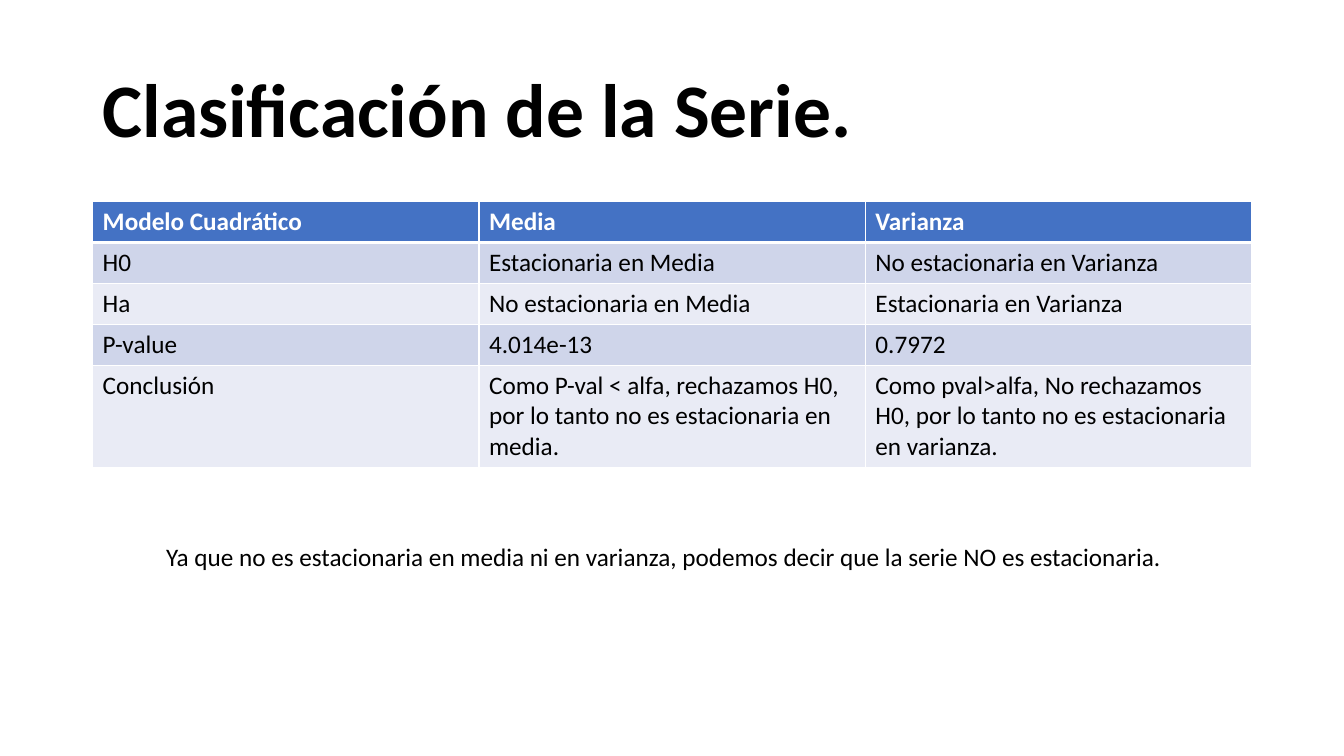
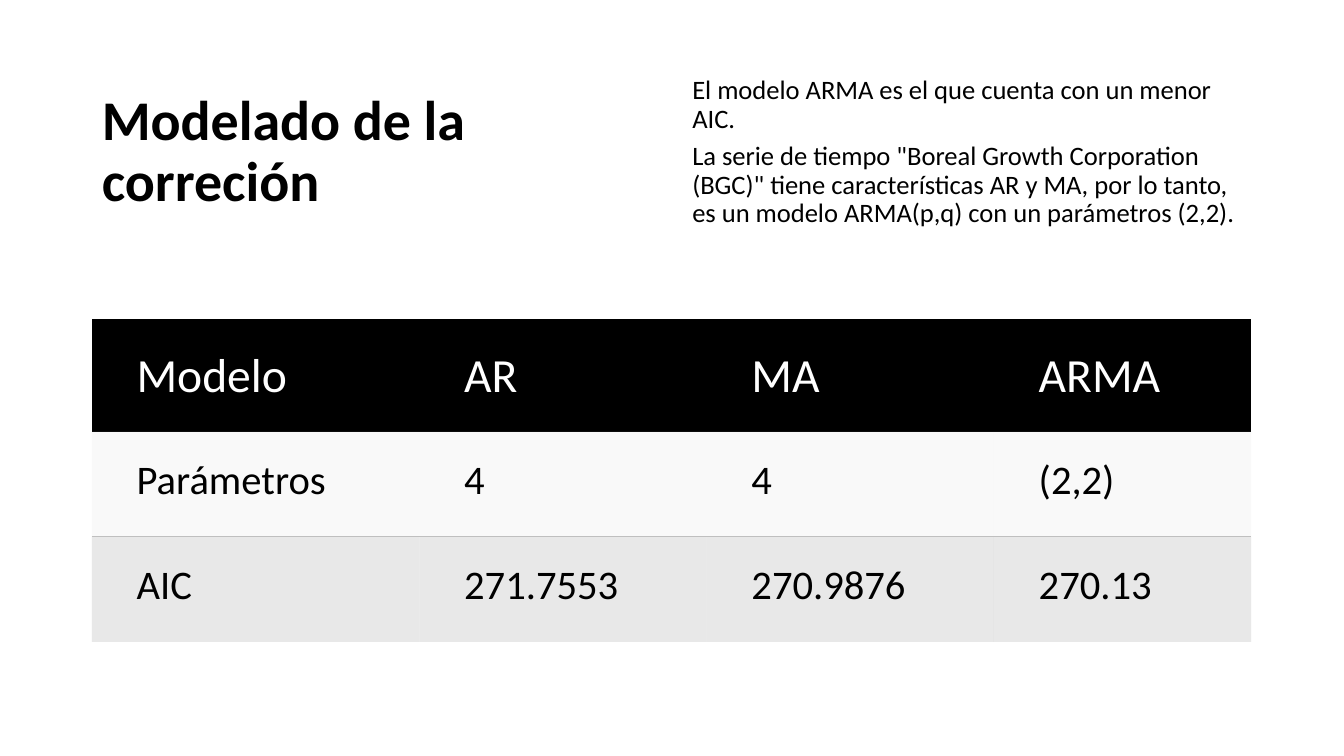
"""Build two slides on the class and the model of a time series."""
from dataclasses import dataclass, field

from lxml import etree
from pptx import Presentation
from pptx.dml.color import RGBColor
from pptx.enum.text import MSO_ANCHOR
from pptx.oxml.ns import qn
from pptx.util import Pt

TOP, MID = MSO_ANCHOR.TOP, MSO_ANCHOR.MIDDLE
FACE = "Calibri"
BLACK, WHITE, GREY = "000000", "FFFFFF", "BFBFBF"
BLUE, DARK, LIGHT = "4472C4", "CFD5EA", "E9EBF5"
PLAIN = "{2D5ABB26-0587-4C30-8999-92F81FD0307C}"
EDGES = ("L", "R", "T", "B")


@dataclass
class Note:
    box: tuple[float, float, float, float]
    lines: list[str]
    size: float
    bold: bool = False
    anchor: MSO_ANCHOR = MID
    format: dict = field(default_factory=lambda: {"line_spacing": 0.9})


@dataclass
class Band:
    cells: list[str]
    height: float
    fill: str
    size: float
    ink: str = BLACK
    bold: bool = False
    alpha: int = 100
    anchor: MSO_ANCHOR = TOP
    edges: dict[str, tuple[str, float]] = field(default_factory=dict)


@dataclass
class Grid:
    left: float
    top: float
    widths: list[float]
    bands: list[Band]
    pad: tuple[float, float, float, float] = (7.2, 3.6, 7.2, 3.6)


def shade(text: str) -> RGBColor:
    """Turn a hex string into a colour."""
    return RGBColor.from_string(text)


def apply(target: object, values: dict) -> None:
    """Set each attribute that the values name."""
    for name, value in values.items():
        setattr(target, name, value)


def style(font, size: float, ink: str, bold: bool) -> None:
    """Give a font its face, size, weight and colour."""
    apply(font, {"name": FACE, "size": Pt(size), "bold": bold})
    font.color.rgb = shade(ink)


def margins(pad: tuple[float, float, float, float]) -> dict:
    """Name the left, top, right and bottom insets."""
    sides = ("left", "top", "right", "bottom")
    return {f"margin_{side}": Pt(size) for side, size in zip(sides, pad)}


def add_note(slide, note: Note) -> None:
    """Draw a block of text."""
    frame = slide.shapes.add_textbox(*map(Pt, note.box)).text_frame
    apply(frame, {"word_wrap": True, "vertical_anchor": note.anchor})
    for spot, line in enumerate(note.lines):
        para = frame.add_paragraph() if spot else frame.paragraphs[0]
        apply(para, note.format)
        run = para.add_run()
        run.text = line
        style(run.font, note.size, BLACK, note.bold)


def add_edges(cell, edges: dict[str, tuple[str, float]]) -> None:
    """Draw the listed cell borders and hide the others."""
    props = cell._tc.get_or_add_tcPr()
    for spot, side in enumerate(EDGES):
        line = etree.Element(qn(f"a:ln{side}"))
        if side in edges:
            ink, width = edges[side]
            line.set("w", str(Pt(width)))
            fill = etree.SubElement(line, qn("a:solidFill"))
            etree.SubElement(fill, qn("a:srgbClr"), val=ink)
        else:
            line.set("w", "0")
            etree.SubElement(line, qn("a:noFill"))
        props.insert(spot, line)


def fill_cell(cell, text: str, band: Band, pad: tuple) -> None:
    """Give a cell its text, fill and borders."""
    apply(cell, {"text": text, "vertical_anchor": band.anchor, **margins(pad)})
    style(cell.text_frame.paragraphs[0].runs[0].font,
          band.size, band.ink, band.bold)
    cell.fill.solid()
    cell.fill.fore_color.rgb = shade(band.fill)
    if band.alpha < 100:
        tint = cell._tc.get_or_add_tcPr().find(
            f"{qn('a:solidFill')}/{qn('a:srgbClr')}")
        etree.SubElement(tint, qn("a:alpha"), val=str(band.alpha * 1000))
    add_edges(cell, band.edges)


def add_grid(slide, grid: Grid) -> None:
    """Draw a table band by band."""
    size = sum(grid.widths), sum(band.height for band in grid.bands)
    frame = slide.shapes.add_table(len(grid.bands), len(grid.widths),
                                   *map(Pt, (grid.left, grid.top, *size)))
    table = frame.table
    for look in table._tbl.iter(qn("a:tableStyleId")):
        look.text = PLAIN
    for column, width in zip(table.columns, grid.widths):
        column.width = Pt(width)
    for row, band in zip(table.rows, grid.bands):
        row.height = Pt(band.height)
        for cell, text in zip(row.cells, band.cells):
            fill_cell(cell, text, band, grid.pad)


def class_grid() -> Grid:
    """Lay out the tests on mean and variance."""
    rows = [
        ["Modelo Cuadrático", "Media", "Varianza"],
        ["H0", "Estacionaria en Media", "No estacionaria en Varianza"],
        ["Ha", "No estacionaria en Media", "Estacionaria en Varianza"],
        ["P-value", "4.014e-13", "0.7972"],
        ["Conclusión",
         "Como P-val < alfa, rechazamos H0, por lo tanto no es "
         "estacionaria en media.",
         "Como pval>alfa, No rechazamos H0, por lo tanto no es "
         "estacionaria en varianza."],
    ]
    thin, thick = (WHITE, 1), (WHITE, 3)
    frame = dict.fromkeys(EDGES, thin)
    bands = [Band(rows[0], 29.2, BLUE, 18, WHITE, True,
                  edges=frame | {"B": thick})]
    for spot, row in enumerate(rows[1:]):
        bands.append(Band(row, 73 if row is rows[-1] else 29.2,
                          LIGHT if spot % 2 else DARK, 18,
                          edges=frame if spot else frame | {"T": thick}))
    return Grid(66.2, 144, [276] * 3, bands)


def model_grid() -> Grid:
    """Lay out the models with their AIC."""
    rule = (GREY, 1)
    bands = [
        Band(["Modelo", "AR", "MA", "ARMA"], 81, BLACK, 34, WHITE,
             anchor=MID),
        Band(["Parámetros", "4", "4", "(2,2)"], 75, "F2F2F2", 29,
             alpha=45, edges={"B": rule}),
        Band(["AIC", "271.7553", "270.9876", "270.13"], 75, GREY, 29,
             alpha=35, edges={"T": rule}),
    ]
    return Grid(65.6, 227.5, [234, 205.2, 205.2, 183.6], bands,
                (32, 17, 32, 16))


def main() -> None:
    """Build and save the slides."""
    deck = Presentation()
    apply(deck, {"slide_width": Pt(960), "slide_height": Pt(540)})
    pages = [
        (class_grid(), [
            Note((66.2, 28.8, 828, 104.4), ["Clasificación de la Serie."],
                 54, True),
            Note((111.6, 383, 742.3, 29),
                 ["Ya que no es estacionaria en media ni en varianza, podemos "
                  "decir que la serie NO es estacionaria."],
                 18, anchor=TOP, format={}),
        ]),
        (model_grid(), [
            Note((65.6, 43.2, 406.8, 131.8), ["Modelado de la correción"],
                 40, True),
            Note((487.4, 43.2, 406, 131.8),
                 ["El modelo ARMA es el que cuenta con un menor AIC.",
                  "La serie de tiempo \"Boreal Growth Corporation (BGC)\" "
                  "tiene características AR y MA, por lo tanto, es un modelo "
                  "ARMA(p,q) con un parámetros (2,2)."],
                 19, format={"line_spacing": 0.9, "space_after": Pt(6)}),
        ]),
    ]
    for grid, notes in pages:
        slide = deck.slides.add_slide(deck.slide_layouts[6])
        for note in notes:
            add_note(slide, note)
        add_grid(slide, grid)
    deck.save("out.pptx")


if __name__ == "__main__":
    main()
